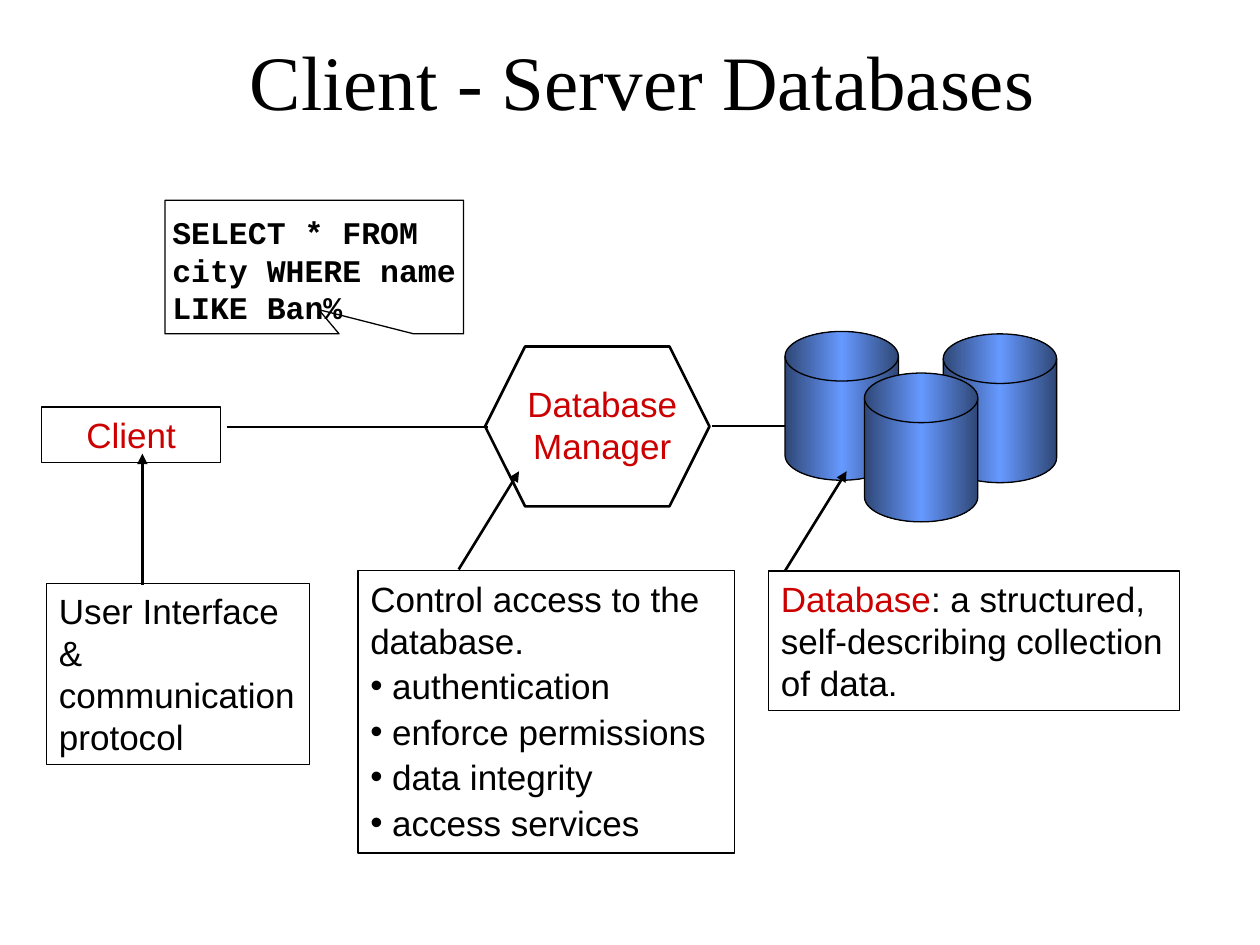
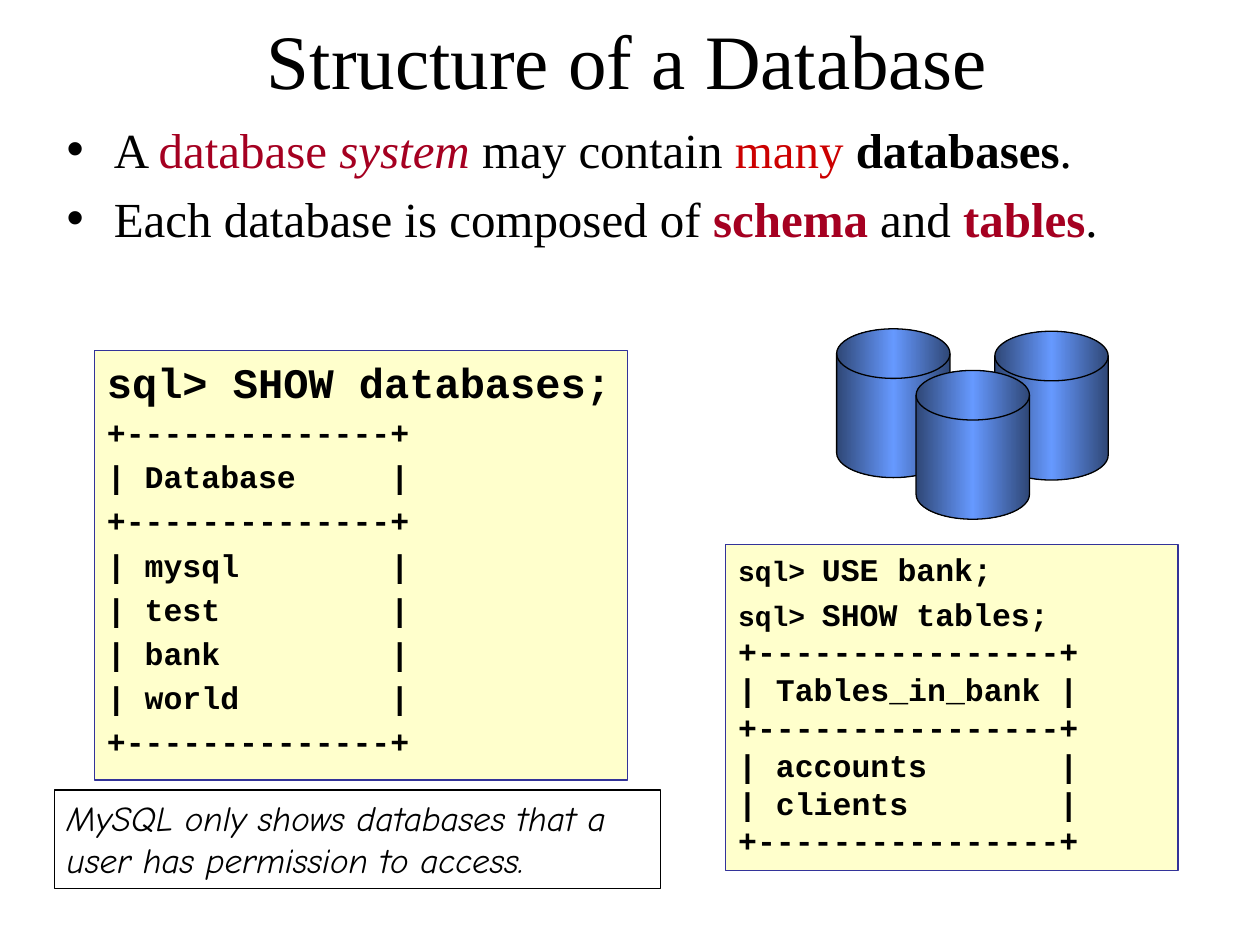
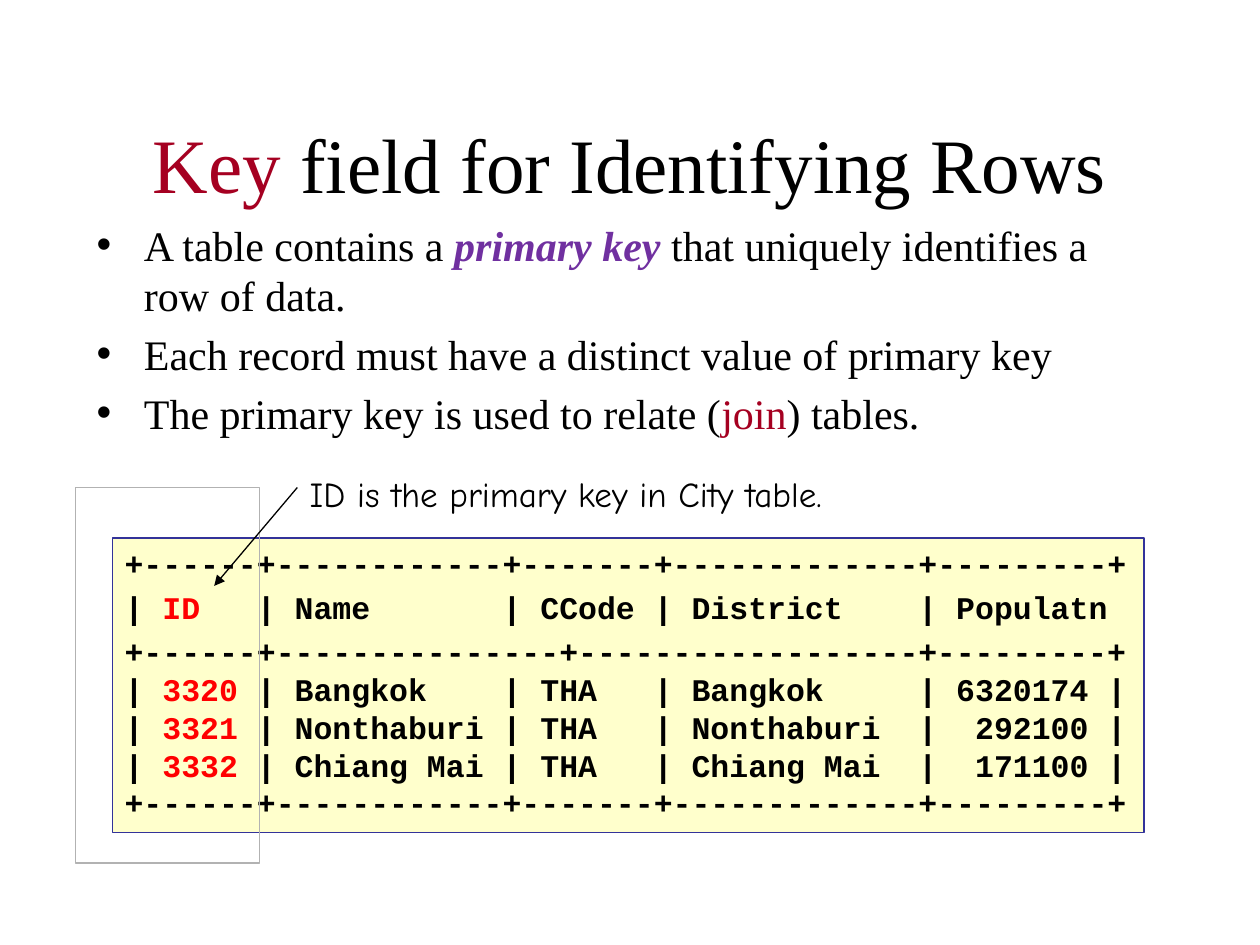
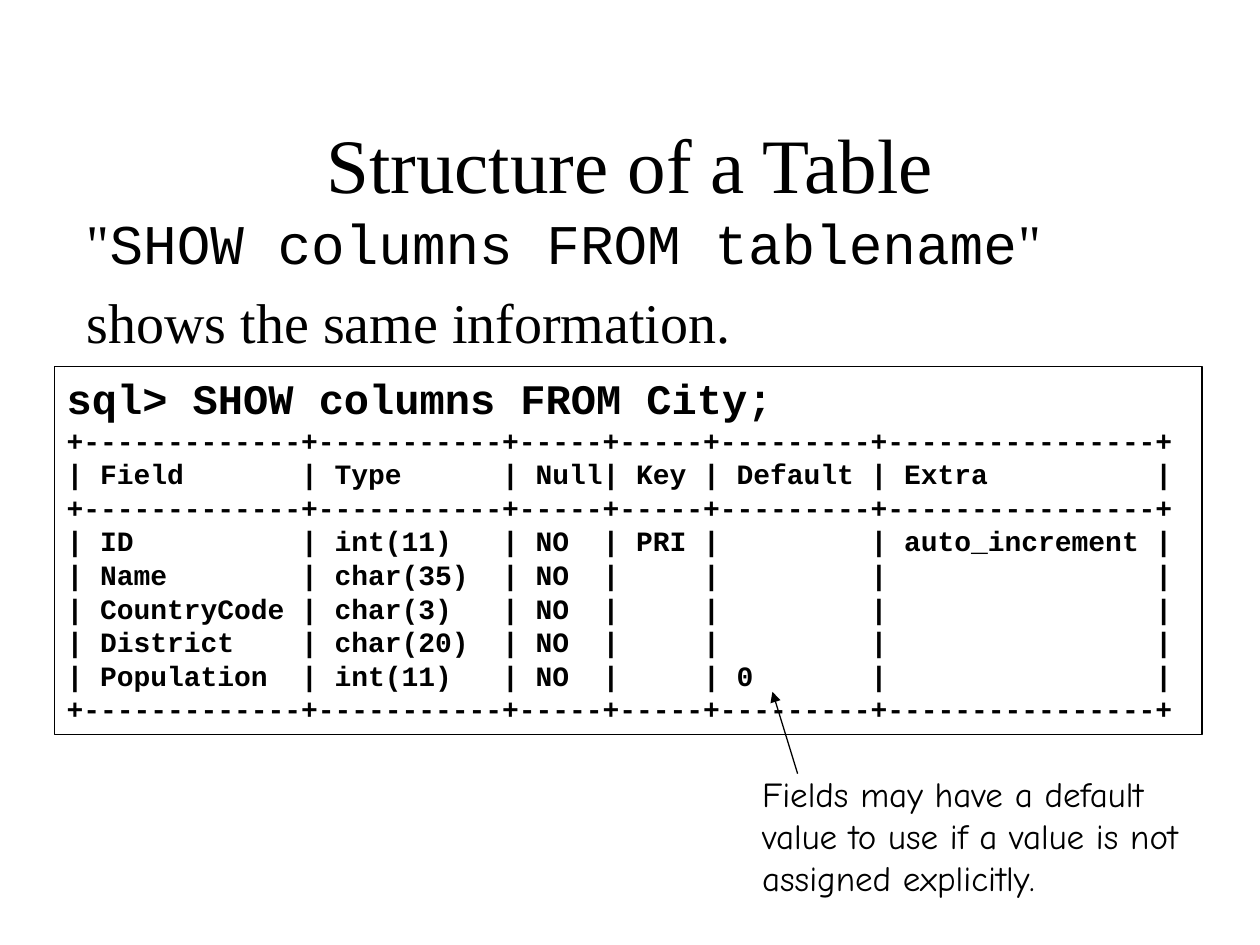
from copy import deepcopy

from lxml import etree
from pptx import Presentation
from pptx.dml.color import RGBColor
from pptx.enum.shapes import MSO_CONNECTOR as Connector, MSO_SHAPE as Shape
from pptx.enum.text import MSO_ANCHOR as Anchor, PP_ALIGN as Align
from pptx.oxml.ns import qn
from pptx.util import Pt

SERIF, SANS, MONO, HAND = "Times New Roman", "Arial", "Courier New", "Comic Neue"
BLACK, RED, CRIMSON, PURPLE = "000000", "CC0000", "A50021", "7030A0"
KEY_RED, CREAM, NAVY, GREY = "FF0000", "FFFFCC", "333399", "B2B2B2"
DISK_STOPS = [(0, "2F4776"), (0.5, "6699FF"), (1, "2F4776")]
DISK_SIZE = (64.8, 85)
DISK_OFFSETS = [(0, 0), (90.4, 1.4), (45.4, 23.8)]
CODE_GAP = 3.6
HANGING = 27


def colour(hex_string):
    return RGBColor.from_string(hex_string)


def add_child(parent, tag, **attributes):
    return etree.SubElement(parent, qn(tag), **attributes)


def set_indent(para, indent, bullet):
    """Hang the first line by indent points, with a round bullet if asked for."""
    properties = para._p.get_or_add_pPr()
    properties.set("marL", str(Pt(indent)))
    properties.set("indent", str(-Pt(indent)))
    if bullet:
        bullet_colour = add_child(properties, "a:buClr")
        add_child(bullet_colour, "a:srgbClr", val=BLACK)
        add_child(properties, "a:buFont", typeface=SANS)
        add_child(properties, "a:buChar", char="•")
    else:
        add_child(properties, "a:buNone")


def add_span(para, text, font, size, color=BLACK, bold=False, italic=False):
    span = para.add_run()
    span.text = text
    span.font.name = font
    span.font.size = Pt(size)
    span.font.color.rgb = colour(color)
    span.font.bold = bold
    span.font.italic = italic


def write(frame, paragraphs, gap=0, indent=0, bullet=False, align=Align.LEFT,
          start=0, **style):
    """Fill a frame. A paragraph is a string or a list of strings and (string, style)
    pairs; the indent applies from paragraph number start on."""
    frame.word_wrap = True
    for number, spans in enumerate(paragraphs):
        para = frame.paragraphs[0] if number == 0 else frame.add_paragraph()
        para.alignment = align
        if indent and number >= start:
            set_indent(para, indent, bullet)
        if number:
            para.space_before = Pt(gap[number] if isinstance(gap, list) else gap)
        for span in [spans] if isinstance(spans, str) else spans:
            text, changes = (span, {}) if isinstance(span, str) else span
            add_span(para, text, **{**style, **changes})


def add_text(page, place, paragraphs, **style):
    box = page.shapes.add_textbox(*map(Pt, place))
    write(box.text_frame, paragraphs, **style)
    return box


def add_title(page, place, *spans):
    box = add_text(page, place, [list(spans)], font=SERIF, size=44, align=Align.CENTER)
    box.text_frame.vertical_anchor = Anchor.MIDDLE


def add_outline(page, place, kind=Shape.RECTANGLE, fill=None, line=BLACK, width=0.75):
    shape = page.shapes.add_shape(kind, *map(Pt, place))
    shape.shadow.inherit = False
    if fill:
        shape.fill.solid()
        shape.fill.fore_color.rgb = colour(fill)
    else:
        shape.fill.background()
    shape.line.color.rgb = colour(line)
    shape.line.width = Pt(width)
    return shape


def add_panel(page, place, paragraphs, fill=None, line=BLACK, **style):
    """A bordered rectangle with text from its top."""
    panel = add_outline(page, place, fill=fill, line=line)
    panel.text_frame.vertical_anchor = Anchor.TOP
    write(panel.text_frame, paragraphs, **style)


def add_code(page, place, paragraphs, fill=CREAM, line=NAVY, size=18, **style):
    add_panel(page, place, paragraphs, fill, line, font=MONO, size=size, bold=True, **style)


def add_line(page, start, end, width=0.75, arrow=False):
    line = page.shapes.add_connector(Connector.STRAIGHT, *map(Pt, start + end))
    line.line.color.rgb = colour(BLACK)
    line.line.width = Pt(width)
    if arrow:
        add_child(line.line._get_or_add_ln(), "a:tailEnd", type="triangle")
    add_child(line._element.spPr, "a:effectLst")


def add_disks(page, left, top):
    """Three overlapping database cylinders."""
    for right, down in DISK_OFFSETS:
        disk = add_outline(page, (left + right, top + down, *DISK_SIZE),
                           Shape.FLOWCHART_MAGNETIC_DISK)
        disk.fill.gradient()
        disk.fill.gradient_angle = 0
        stop_list = disk._element.spPr.find(qn("a:gradFill")).find(qn("a:gsLst"))
        stop_list.append(deepcopy(stop_list[0]))
        for stop, (position, shade) in zip(disk.fill.gradient_stops, DISK_STOPS):
            stop.position = position
            stop.color.rgb = colour(shade)


def rule(*widths):
    return "+" + "+".join("-" * width for width in widths) + "+"


def row(cells, widths):
    return "|" + "|".join(f" {cell}".ljust(width)
                          for cell, width in zip(cells, widths)) + "|"


def grid(header, rows, widths):
    """Lines of a console table."""
    edge = rule(*widths)
    return [edge, row(header, widths), edge, *[row(cells, widths) for cells in rows], edge]


def client_server(page):
    label = {"font": SANS, "size": 20}
    add_disks(page, 448.6, 189.4)
    add_panel(page, (439.2, 326.2, 234.7, 79.9),
              [[("Database", {"color": RED}),
                ": a structured, self-describing collection of data."]], **label)
    add_panel(page, (204.5, 326.2, 215.3, 161.3),
              ["Control access to the database.", "authentication",
               "enforce permissions", "data integrity", "access services"],
              gap=2, indent=12.5, bullet=True, start=1, **label)
    hexagon = add_outline(page, (277.2, 198, 128.2, 91.4), Shape.HEXAGON, width=1.5)
    hexagon.adjustments[0] = 0.25
    add_text(page, (293.8, 215.3, 100.8, 55.4), ["Database Manager"],
             color=RED, align=Align.CENTER, **label)
    callout = add_outline(page, (94.3, 114.5, 170.6, 76.3),
                          Shape.ROUNDED_RECTANGULAR_CALLOUT)
    for number, value in enumerate((0.015, 0.319, 0)):
        callout.adjustments[number] = value
    add_panel(page, (26.6, 333.4, 150.5, 103.7),
              ["User Interface & communication protocol"], **label)
    add_line(page, (278.6, 244.1), (129.6, 244.1), 1.5)
    add_text(page, (91.4, 118.1, 177.1, 72.7),
             ["SELECT * FROM city WHERE name LIKE Ban%"], font=MONO, size=18, bold=True)
    add_line(page, (406.8, 243.4), (448.6, 243.4), 1.5)
    add_panel(page, (23.8, 232.6, 102.2, 31.7), ["Client"],
              color=RED, align=Align.CENTER, **label)
    for start, end in [((81.4, 334.1), (81.4, 259.2)),
                       ((262.1, 325.4), (296.6, 269.3)),
                       ((448.6, 326.2), (483.8, 269.3))]:
        add_line(page, start, end, 1.5, arrow=True)
    add_title(page, (61.2, 19.4, 612, 51.8), "Client - Server Databases")


def database_structure(page):
    strong = {"color": CRIMSON, "bold": True}
    prompt = ("sql> ", {"size": 16})
    add_title(page, (52.6, 10.1, 612, 46.8), "Structure of a Database")
    add_text(page, (31, 64.8, 623.5, 87.1), [
        ["A ", ("database ", {"color": CRIMSON}),
         ("system", {"color": CRIMSON, "italic": True}), " may contain ",
         ("many ", {"color": RED}), ("databases", {"bold": True}), "."],
        ["Each database is composed of ", ("schema", strong), " and ",
         ("tables", strong), "."],
    ], font=SERIF, size=28, gap=5.6, indent=HANGING, bullet=True)
    tables = grid(["Tables_in_bank"], [["accounts"], ["clients"]], [16])
    add_code(page, (414.7, 311, 258.5, 186.5),
             [[prompt, "USE bank;"], [prompt, "SHOW tables;"], *tables],
             gap=[0, CODE_GAP] + [0] * len(tables))
    add_disks(page, 478.1, 187.9)
    databases = grid(["Database"], [["mysql"], ["test"], ["bank"], ["world"]], [14])
    add_code(page, (54, 200.2, 304.6, 245.5),
             [[("sql> SHOW databases;", {"size": 24})], *databases], gap=CODE_GAP)
    add_panel(page, (31, 451.4, 346.3, 56.2),
              ["MySQL only shows databases that a user has permission to access."],
              font=HAND, size=20, italic=True)


def key_field(page):
    add_title(page, (54, 48.2, 612, 90), ("Key", {"color": CRIMSON}),
              " field for Identifying Rows")
    add_text(page, (48.2, 121.7, 623.5, 204.5), [
        ["A table contains a ",
         ("primary key ", {"color": PURPLE, "bold": True, "italic": True}),
         "that uniquely identifies a row of data."],
        "Each record must have a distinct value of primary key",
        ["The primary key is used to relate (", ("join", {"color": CRIMSON}), ") tables."],
    ], font=SERIF, size=24, gap=4.8, indent=HANGING, bullet=True)

    widths = (12, 7, 13, 9)
    edge = rule(6, *widths)

    def city(key, *cells):
        rest = " " * (5 - len(key)) + row(cells, widths)
        return ["| ", (key, {"color": KEY_RED}), rest]

    bar, key, names = city("ID", "Name", "CCode", "District", "Populatn")
    add_code(page, (64.1, 307.4, 589.7, 168.5), [
        edge,
        [bar, key, names.rstrip("| ")],
        ["+------+---------------+------------------", ("+", {"font": SANS}), "---------+"],
        city("3320", "Bangkok", "THA", "Bangkok", "6320174"),
        city("3321", "Nonthaburi", "THA", "Nonthaburi", " 292100"),
        city("3332", "Chiang Mai", "THA", "Chiang Mai", " 171100"),
        edge,
    ], gap=[0, CODE_GAP, CODE_GAP, 0, 0, 0, 0])
    add_outline(page, (43.2, 278.6, 105.1, 214.6), line=GREY)
    add_text(page, (169.9, 266.4, 360, 31), ["ID is the primary key in City table."],
             font=HAND, size=20)
    add_line(page, (169.9, 278.6), (122.4, 334.8), arrow=True)


def table_structure(page):
    add_title(page, (54, 48.2, 612, 90), "Structure of a Table")
    add_text(page, (42.5, 115.9, 623.5, 43.2), [
        ['"', ("SHOW columns FROM tablename", {"font": MONO}), '"'],
        "shows the same information.",
    ], font=SERIF, size=32, gap=6.4, indent=HANGING)
    columns = grid(
        ["Field", "Type", "Null", "Key", "Default", "Extra"],
        [["ID", "int(11)", "NO", "PRI", "", "auto_increment"],
         ["Name", "char(35)", "NO", "", "", ""],
         ["CountryCode", "char(3)", "NO", "", "", ""],
         ["District", "char(20)", "NO", "", "", ""],
         ["Population", "int(11)", "NO", "", "0", ""]],
        [13, 11, 5, 5, 9, 16])
    add_code(page, (31, 209.5, 655.9, 210.2),
             [[("sql> SHOW columns FROM City;", {"size": 24})], *columns],
             fill=None, line=BLACK, size=16)
    add_text(page, (428.4, 437.8, 264.2, 79.2),
             ["Fields may have a default value to use if a value is not "
              "assigned explicitly."], font=HAND, size=20)
    add_line(page, (455.8, 442.1), (441.4, 395.3), arrow=True)


def main():
    deck = Presentation()
    deck.slide_width, deck.slide_height = Pt(720), Pt(540)
    for build in (client_server, database_structure, key_field, table_structure):
        build(deck.slides.add_slide(deck.slide_layouts[6]))
    deck.save("out.pptx")


if __name__ == "__main__":
    main()
